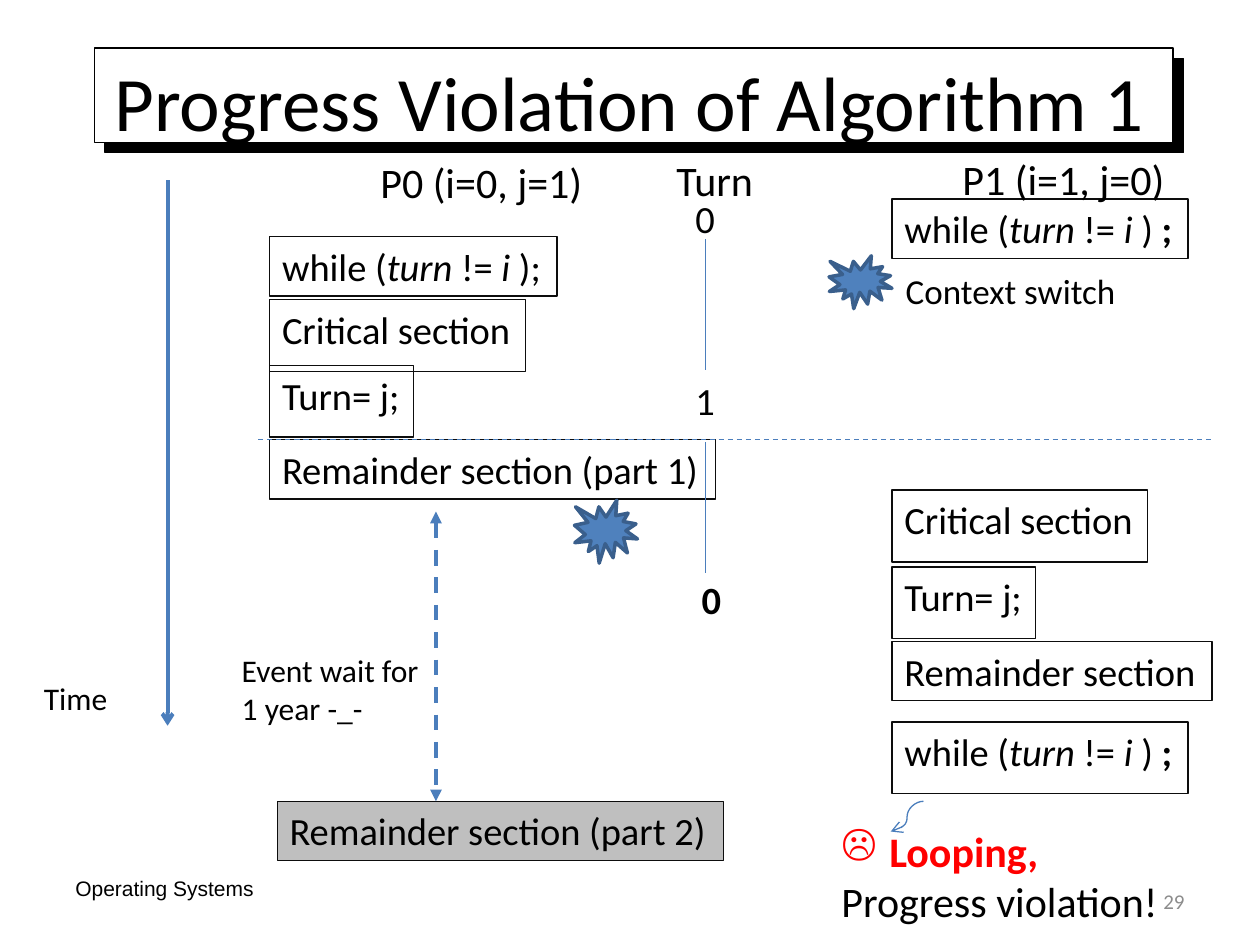
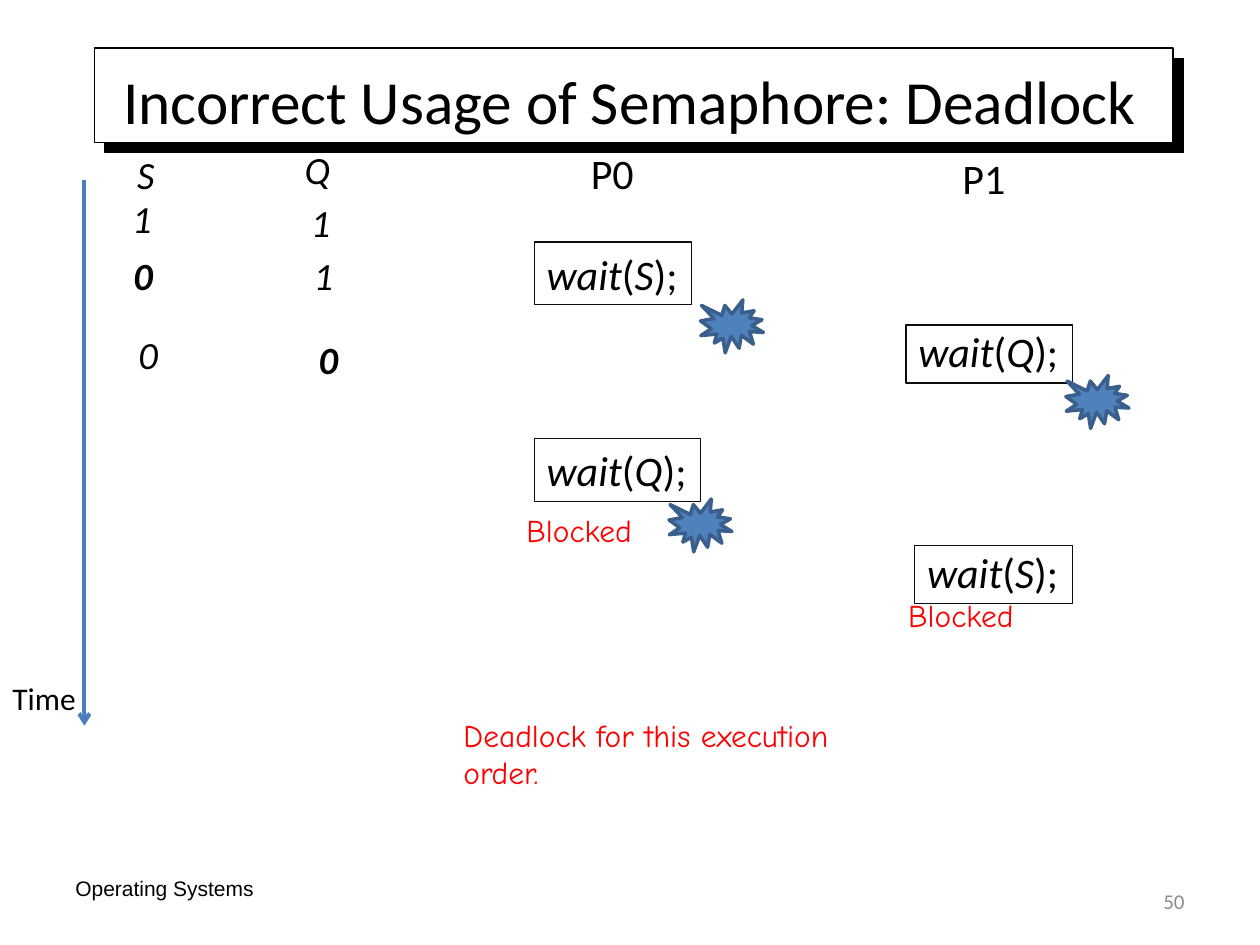
"""Two operating-systems slides: a progress violation and a semaphore deadlock."""
from typing import NamedTuple

from lxml import etree
from pptx import Presentation
from pptx.dml.color import RGBColor
from pptx.enum import dml, shapes, text
from pptx.oxml.ns import qn
from pptx.util import Inches, Pt

BLACK, WHITE, RED = "000000", "FFFFFF", "FF0000"
FRAME, GREY, MUTED = "0D0D0D", "BFBFBF", "8C8C8C"
LINE_BLUE, BURST_FILL, BURST_EDGE = "4B7EBC", "4F81BD", "3A5F8C"
BODY_FONT, FOOTER_FONT, NOTE_FONT = "Calibri", "Arial", "Comic Neue"

# In wording, *...* is italic and **...** is bold.
SPIN_P0 = "while (*turn* != *i* );"
SPIN_P1 = "while (*turn* != *i *) **;**"
WAIT_S = "*wait*(*S*);"
WAIT_Q = "*wait*(*Q*);"


class Step(NamedTuple):
    """A framed line of code or program section."""
    wording: str
    left: float
    top: float
    width: float
    height: float
    size: float = 22
    fill: str = ""
    spacing: float = 1.0


class Caption(NamedTuple):
    """A free one-line text: heading, variable value or remark."""
    wording: str
    left: float
    top: float
    width: float
    height: float
    size: float = 22


class Burst(NamedTuple):
    """A context-switch star."""
    left: float
    top: float
    height: float = 0.42


def rgb(color: str) -> RGBColor:
    """Turn a hex string into a colour."""
    return RGBColor.from_string(color)


def add_text(slide, wording: str, left: float, top: float, width: float, height: float, *,
             size: float = 22, font: str = BODY_FONT, color: str = BLACK,
             align=text.PP_ALIGN.LEFT, middle: bool = False, wrap: bool = False,
             spacing: float = 1.0):
    """Add a text box; newlines part paragraphs and asterisks mark emphasis."""
    box = slide.shapes.add_textbox(Inches(left), Inches(top), Inches(width), Inches(height))
    frame = box.text_frame
    frame.word_wrap = wrap
    if middle:
        frame.vertical_anchor = text.MSO_ANCHOR.MIDDLE
    else:
        frame.auto_size = text.MSO_AUTO_SIZE.SHAPE_TO_FIT_TEXT
    for index, line in enumerate(wording.split("\n")):
        paragraph = frame.paragraphs[0] if index == 0 else frame.add_paragraph()
        paragraph.alignment = align
        paragraph.line_spacing = spacing
        for bold, part in enumerate(line.split("**")):
            for italic, piece in enumerate(part.split("*")):
                if piece:
                    run = paragraph.add_run()
                    run.text = piece
                    run.font.name, run.font.size = font, Pt(size)
                    run.font.color.rgb = rgb(color)
                    run.font.bold, run.font.italic = bold % 2 == 1, italic % 2 == 1
    return box


def add_step(slide, step: Step) -> None:
    """Draw a framed step."""
    box = add_text(slide, step.wording, step.left, step.top, step.width, step.height,
                   size=step.size, spacing=step.spacing)
    box.line.color.rgb = rgb(FRAME)
    box.line.width = Pt(0.75)
    if step.fill:
        box.fill.solid()
        box.fill.fore_color.rgb = rgb(step.fill)


def add_caption(slide, caption: Caption) -> None:
    """Draw a free caption."""
    add_text(slide, caption.wording, caption.left, caption.top, caption.width,
             caption.height, size=caption.size)


def add_solid(slide, kind, left: float, top: float, width: float, height: float,
              fill: str, edge: str, edge_width: float):
    """Draw a filled preset shape without a shadow."""
    solid = slide.shapes.add_shape(kind, Inches(left), Inches(top),
                                   Inches(width), Inches(height))
    solid.shadow.inherit = False
    solid.fill.solid()
    solid.fill.fore_color.rgb = rgb(fill)
    solid.line.color.rgb = rgb(edge)
    solid.line.width = Pt(edge_width)
    return solid


def add_burst(slide, burst: Burst) -> None:
    """Draw a context-switch star."""
    add_solid(slide, shapes.MSO_SHAPE.EXPLOSION1, burst.left, burst.top, 0.5,
              burst.height, BURST_FILL, BURST_EDGE, 2)


def add_line(slide, x1: float, y1: float, x2: float, y2: float, *, width: float = 0.75,
             dashed: bool = False, head: str = "", tail: str = "",
             kind=shapes.MSO_CONNECTOR.STRAIGHT) -> None:
    """Draw a connector, with arrowheads where named."""
    connector = slide.shapes.add_connector(kind, Inches(x1), Inches(y1),
                                           Inches(x2), Inches(y2))
    connector.line.color.rgb = rgb(LINE_BLUE)
    connector.line.width = Pt(width)
    if dashed:
        connector.line.dash_style = dml.MSO_LINE.DASH
    properties = connector._element.spPr
    outline = properties.find(qn("a:ln"))
    for tag, arrow in (("a:headEnd", head), ("a:tailEnd", tail)):
        if arrow:
            etree.SubElement(outline, qn(tag), type=arrow)
    etree.SubElement(properties, qn("a:effectLst"))


def add_title_band(slide, title: str, size: float) -> None:
    """Draw the title on its white band with a hard black shadow."""
    band = add_solid(slide, shapes.MSO_SHAPE.RECTANGLE, 0.75, 0.38, 8.56, 0.75,
                     WHITE, BLACK, 0.75)
    effects = band._element.spPr.find(qn("a:effectLst"))
    shadow = etree.SubElement(effects, qn("a:outerShdw"), blurRad="0", dist=str(Pt(8.5)),
                              dir=str(45 * 60000), algn="ctr", rotWithShape="0")
    etree.SubElement(shadow, qn("a:srgbClr"), val=BLACK)
    add_text(slide, title, 0.5, 0.17, 9, 1.25, size=size, align=text.PP_ALIGN.CENTER,
             middle=True, wrap=True)


def start_slide(deck, title: str, size: float, number: int, time_x: float,
                time_label_x: float):
    """Add a slide with its title, footer, page number and time axis."""
    slide = deck.slides.add_slide(deck.slide_layouts[6])
    add_text(slide, "Operating Systems", 0.5, 6.85, 2.33, 0.4, size=12,
             font=FOOTER_FONT, middle=True, wrap=True)
    add_title_band(slide, title, size)
    add_line(slide, time_x, 1.43, time_x, 5.76, width=2.25, tail="arrow")
    add_caption(slide, Caption("Time", time_label_x, 5.34, 0.75, 0.4, 18))
    add_text(slide, str(number), 7.17, 6.95, 2.33, 0.4, size=12, color=MUTED,
             align=text.PP_ALIGN.RIGHT, middle=True, wrap=True)
    return slide


def draw_parts(slide, steps, captions, bursts) -> None:
    """Draw the steps, captions and context switches of a slide."""
    for step in steps:
        add_step(slide, step)
    for caption in captions:
        add_caption(slide, caption)
    for burst in bursts:
        add_burst(slide, burst)


def add_verdict(slide) -> None:
    """Write the outcome, its first line red with a sad-face bullet."""
    verdict = add_text(slide, "**Looping,**\nProgress violation!", 6.58, 6.5, 2.74, 0.91,
                       size=24)
    looping = verdict.text_frame.paragraphs[0]
    looping.runs[0].font.color.rgb = rgb(RED)
    properties = looping._p.get_or_add_pPr()
    properties.set("marL", str(Inches(0.38)))
    properties.set("indent", str(Inches(-0.38)))
    etree.SubElement(properties, qn("a:buChar"), char="\u2639")


def build_progress_slide(deck) -> None:
    """Build the slide on the progress violation."""
    slide = start_slide(deck, "Progress Violation of Algorithm 1", 44, 29, 1.33, 0.25)
    p0, p1 = 2.14, 7.08
    steps = [
        Step(SPIN_P0, p0, 1.88, 2.28, 0.47),
        Step("Critical section", p0, 2.38, 2.03, 0.57),
        Step("Turn= j;", p0, 2.9, 1.14, 0.57),
        Step("Remainder section (part 1)", p0, 3.49, 3.54, 0.47),
        Step("Remainder section (part 2)", 2.2, 6.36, 3.54, 0.47, fill=GREY),
        Step(SPIN_P1, p1, 1.58, 2.35, 0.47),
        Step("Critical section", p1, 3.89, 2.03, 0.57),
        Step("Turn= j;", p1, 4.5, 1.14, 0.57),
        Step("Remainder section", p1, 5.09, 2.54, 0.47),
        Step(SPIN_P1, p1, 5.73, 2.35, 0.57),
    ]
    captions = [
        Caption("P0 (i=0, j=1)", 2.92, 1.19, 1.82, 0.5, 24),
        Caption("Turn", 5.27, 1.18, 0.82, 0.5, 24),
        Caption("P1 (i=1, j=0)", 7.54, 1.17, 1.82, 0.5, 24),
        Caption("0", 5.42, 1.5, 0.36, 0.47),
        Caption("1", 5.42, 2.94, 0.36, 0.57),
        Caption("**0**", 5.47, 4.52, 0.36, 0.47),
        Caption("Context switch", 7.09, 2.09, 2.03, 0.44, 20),
        Caption("Event wait for\n1 year -_-", 1.82, 5.12, 1.62, 0.71, 18),
    ]
    draw_parts(slide, steps, captions, [Burst(6.58, 2.03), Burst(4.56, 3.97, 0.5)])
    add_line(slide, 2.05, 3.49, 9.63, 3.49, dashed=True)
    for turn_top in (1.9, 3.51):
        add_line(slide, 5.6, turn_top, 5.6, turn_top + 1.04)
    add_line(slide, 3.46, 4.06, 3.46, 6.36, width=2.25, dashed=True,
             head="triangle", tail="triangle")
    add_line(slide, 7.33, 6.36, 7.07, 6.6, tail="arrow", kind=shapes.MSO_CONNECTOR.CURVE)
    add_verdict(slide)


def build_deadlock_slide(deck) -> None:
    """Build the slide on the semaphore deadlock."""
    slide = start_slide(deck, "Incorrect Usage of Semaphore: Deadlock", 35, 50, 0.67, 0)
    steps = [
        Step(WAIT_S, 4.24, 1.92, 1.25, 0.5, 24),
        Step(WAIT_Q, 4.24, 3.48, 1.32, 0.5, 24),
        Step(WAIT_Q, 7.19, 2.58, 1.32, 0.46, 24, spacing=0.9),
        Step(WAIT_S, 7.26, 4.33, 1.25, 0.46, 24, spacing=0.9),
    ]
    captions = [
        Caption("*S*", 0.99, 1.15, 0.34, 0.47),
        Caption("*Q*", 2.32, 1.11, 0.41, 0.47),
        Caption("P0", 4.59, 1.12, 0.55, 0.5, 24),
        Caption("P1", 7.54, 1.16, 0.55, 0.5, 24),
    ]
    semaphore_values = [
        ("*1*", 0.95, 1.5), ("***0***", 0.96, 1.95), ("*0*", 1.0, 2.58),
        ("*1*", 2.37, 1.53), ("*1*", 2.39, 1.95), ("***0***", 2.43, 2.62),
    ]
    captions += [Caption(*value, 0.36, 0.47) for value in semaphore_values]
    draw_parts(slide, steps, captions,
               [Burst(5.56, 2.38), Burst(8.46, 2.98), Burst(5.31, 3.96)])
    remarks = [
        ("Blocked", 4.08, 4.01, 1.55, 0.4),
        ("Blocked", 7.11, 4.68, 1.55, 0.4),
        ("Deadlock for this execution order.", 3.58, 5.63, 3.11, 0.71),
    ]
    for remark in remarks:
        add_text(slide, *remark, size=18, font=NOTE_FONT, color=RED, wrap=True)


def main() -> None:
    """Build and save the deck."""
    deck = Presentation()
    deck.slide_width, deck.slide_height = Inches(10), Inches(7.5)
    build_progress_slide(deck)
    build_deadlock_slide(deck)
    deck.save("out.pptx")


main()
